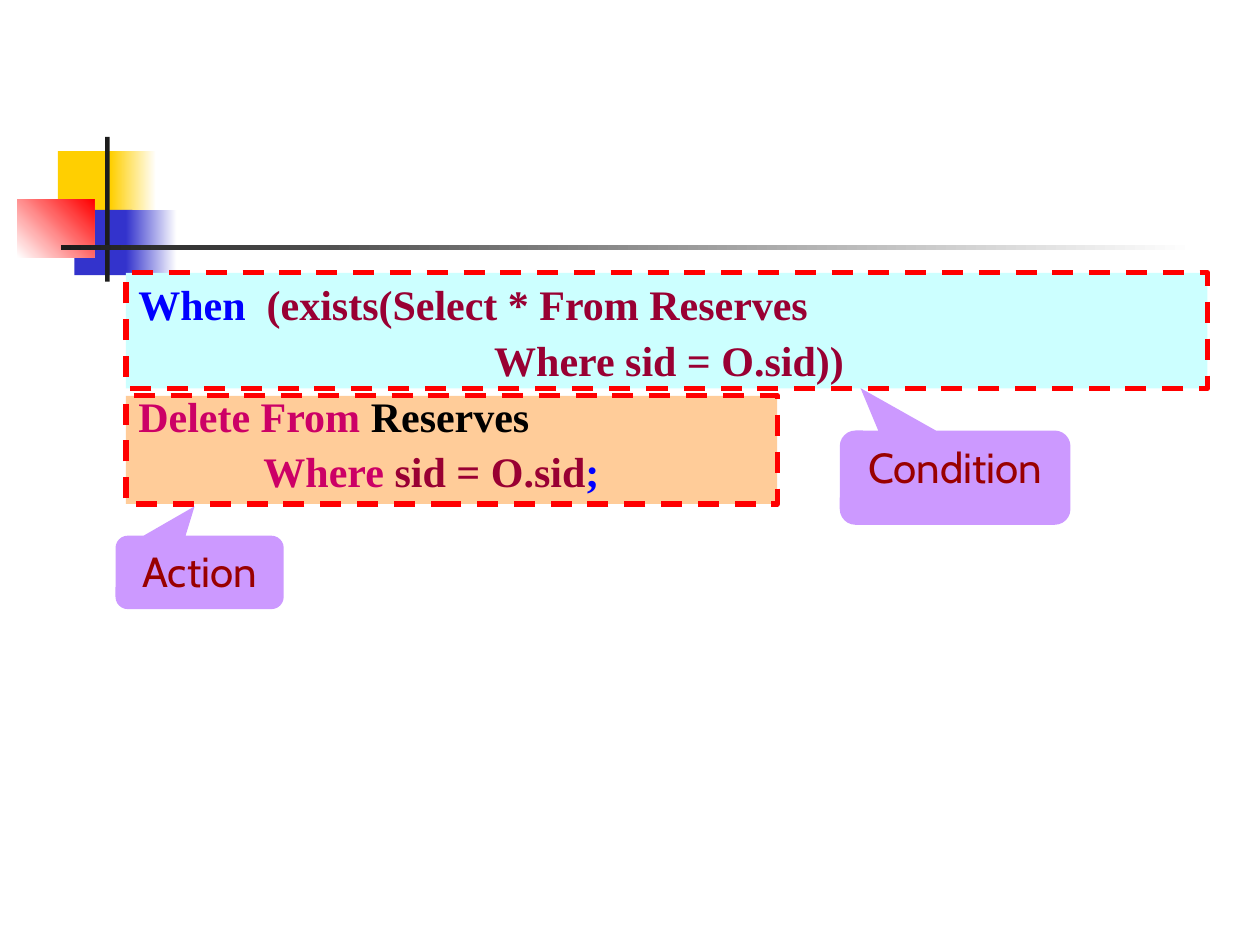
from dataclasses import dataclass

from pptx import Presentation
from pptx import util as u
from pptx.dml.color import RGBColor
from pptx.enum import dml, shapes, text


@dataclass(frozen=True)
class Theme:
    yellow: str = "FFCF01"
    blue: str = "3333CC"
    red: str = "FF0000"
    ink: str = "1C1C1C"
    white: str = "FFFFFF"
    action_fill: str = "FFCC99"
    condition_fill: str = "CCFFFF"
    callout_fill: str = "CC99FF"
    callout_text: str = "990000"
    keyword: str = "0000FF"
    query: str = "990033"
    action: str = "CC0066"
    table_name: str = "000000"
    code_font: str = "Times New Roman"
    callout_font: str = "Cabin"
    text_size: float = 24
    line_gap: float = 3
    border_width: float = 3


class SlideBuilder:
    """Holds the theme and the slide being drawn; boxes are (left, top, width, height) in cm."""

    def __init__(self, slide, theme):
        self.slide = slide
        self.theme = theme

    def block(self, box, color, kind=shapes.MSO_SHAPE.RECTANGLE):
        shape = self.slide.shapes.add_shape(kind, *map(u.Cm, box))
        shape.shadow.inherit = False
        shape.fill.solid()
        shape.fill.fore_color.rgb = RGBColor.from_string(color)
        shape.line.fill.background()
        return shape

    def fading_block(self, box, start, end, angle=0):
        """Angle runs counter-clockwise from left-to-right."""
        fill = self.block(box, start).fill
        fill.gradient()
        fill.gradient_angle = angle
        for stop, color in zip(fill.gradient_stops, (start, end)):
            stop.color.rgb = RGBColor.from_string(color)

    def dashed_block(self, box, color):
        line = self.block(box, color).line
        line.color.rgb = RGBColor.from_string(self.theme.red)
        line.width = u.Pt(self.theme.border_width)
        line.dash_style = dml.MSO_LINE.DASH

    def frame(self, shape):
        frame = shape.text_frame
        frame.word_wrap = True
        frame.vertical_anchor = text.MSO_ANCHOR.TOP
        frame.margin_left = frame.margin_right = u.Cm(0.25)
        frame.margin_top = frame.margin_bottom = u.Cm(0.13)
        return frame

    def run(self, paragraph, words, color, font_name, bold=False):
        run = paragraph.add_run()
        run.text = words
        run.font.name = font_name
        run.font.size = u.Pt(self.theme.text_size)
        run.font.bold = bold
        run.font.color.rgb = RGBColor.from_string(color)

    def code(self, box, lines):
        """Each line is a list of (words, color) runs."""
        frame = self.frame(self.slide.shapes.add_textbox(*map(u.Cm, box)))
        for index, runs in enumerate(lines):
            paragraph = frame.add_paragraph() if index else frame.paragraphs[0]
            if index:
                paragraph.space_before = u.Pt(self.theme.line_gap)
            for words, color in runs:
                self.run(paragraph, words, color, self.theme.code_font, bold=True)

    def callout(self, box, words, pointer):
        """Pointer is the tip's offset from the centre, as shares of width and height."""
        shape = self.block(box, self.theme.callout_fill,
                           shapes.MSO_SHAPE.ROUNDED_RECTANGULAR_CALLOUT)
        shape.adjustments[0], shape.adjustments[1] = pointer
        paragraph = self.frame(shape).paragraphs[0]
        paragraph.alignment = text.PP_ALIGN.CENTER
        self.run(paragraph, words, self.theme.callout_text, self.theme.callout_font)


def draw_corner_motif(builder):
    theme = builder.theme
    builder.block((1.17, 3.05, 1.22, 1.32), theme.yellow)
    builder.fading_block((2.23, 3.05, 0.92, 1.32), theme.yellow, theme.white)
    builder.block((1.5, 4.23, 1.17, 1.32), theme.blue)
    builder.fading_block((2.54, 4.23, 1.02, 1.32), theme.blue, theme.white)
    builder.fading_block((0.35, 4.02, 1.55, 1.17), theme.white, theme.red, angle=45)
    builder.block((2.12, 2.76, 0.09, 2.92), theme.ink)
    builder.fading_block((1.23, 4.94, 22.86, 0.1), theme.ink, theme.white)


def draw_trigger(builder):
    theme = builder.theme
    builder.dashed_block((2.54, 7.98, 13.13, 2.18), theme.action_fill)
    builder.dashed_block((2.54, 5.5, 21.8, 2.33), theme.condition_fill)
    builder.code((2.54, 5.49, 22.02, 4.65), [
        [("When ", theme.keyword), (" (exists(Select * From Reserves", theme.query)],
        [("                                  Where sid = O.sid))", theme.query)],
        [("Delete From ", theme.action), ("Reserves", theme.table_name)],
        [("            Where ", theme.action), ("sid = O.sid", theme.query),
         (";", theme.keyword)],
    ])
    builder.callout((16.93, 8.68, 4.65, 1.9), "Condition", (-0.41, -0.95))
    builder.callout((2.33, 10.8, 3.39, 1.48), "Action", (-0.03, -0.9))


def main():
    presentation = Presentation()
    presentation.slide_width, presentation.slide_height = u.Cm(25.4), u.Cm(19.05)
    blank_layout = presentation.slide_layouts[6]
    builder = SlideBuilder(presentation.slides.add_slide(blank_layout), Theme())
    draw_corner_motif(builder)
    draw_trigger(builder)
    presentation.save("out.pptx")


if __name__ == "__main__":
    main()
